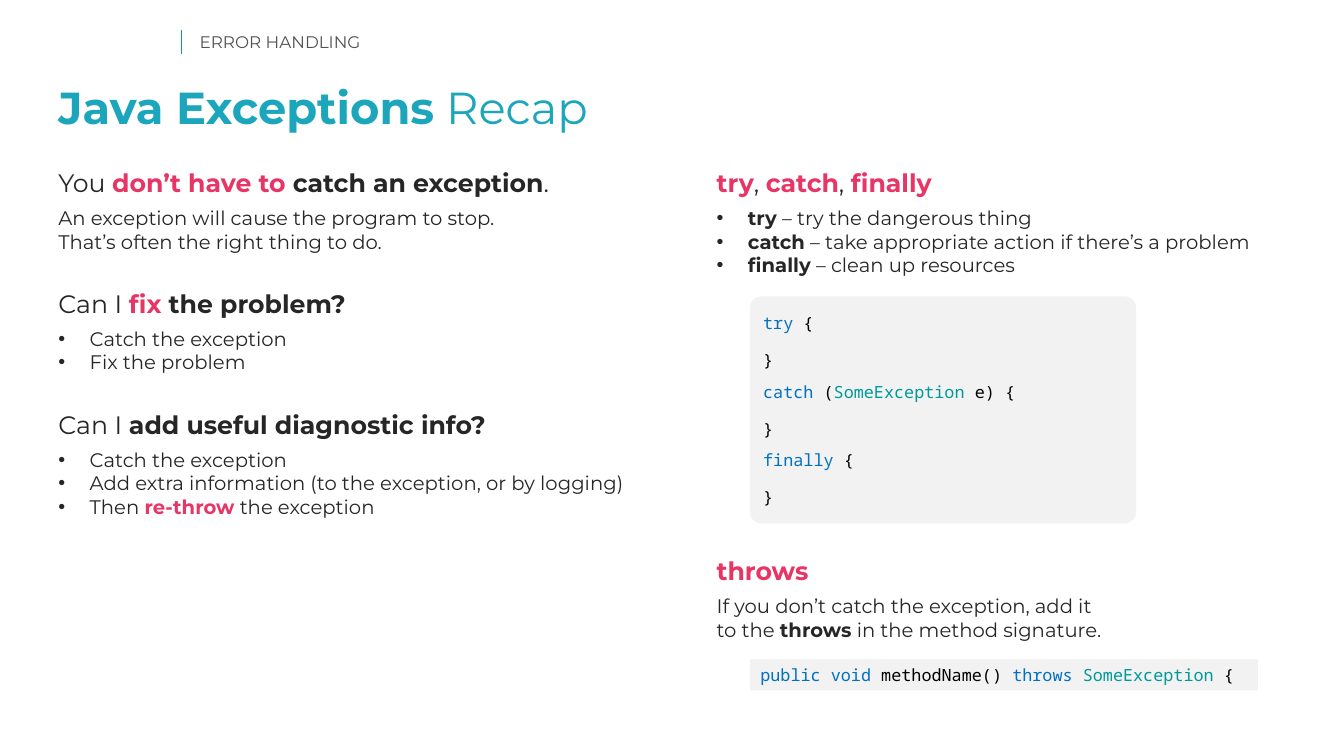
from lxml import etree
from pptx import Presentation
from pptx import util as u
from pptx.dml.color import RGBColor
from pptx.enum import shapes, text
from pptx.oxml.ns import qn

TEAL = RGBColor(0x13, 0x96, 0xAE)
AQUA = RGBColor(0x1B, 0xA6, 0xBC)
PINK = RGBColor(0xE7, 0x35, 0x65)
DARK = RGBColor(0x26, 0x26, 0x26)
GREY = RGBColor(0x53, 0x53, 0x53)
PALE = RGBColor(0xF2, 0xF2, 0xF2)
BLACK = RGBColor(0, 0, 0)
BLUE = RGBColor(0x00, 0x70, 0xC0)
GREEN = RGBColor(0x00, 0x99, 0x99)

SANS, MONO = "Montserrat", "Noto Sans Mono"
LEFT, RIGHT = 1.47, 18.06
CODE = 18.9
WIDE = 15.6
HEAD = {"size": 18, "after": 6}
BODY = {"size": 14, "after": 6}
ITEM = {"size": 14, "bullet": True}


def set_all(target, values):
    """Set each named attribute on the target."""
    for name, value in values.items():
        setattr(target, name, value)


def add_bullet(para):
    """Give a paragraph a hanging round bullet."""
    props = para._p.get_or_add_pPr()
    indent = u.Cm(0.79)
    props.set("marL", str(indent))
    props.set("indent", str(-indent))
    etree.SubElement(props, qn("a:buFont")).set("typeface", "Arial")
    etree.SubElement(props, qn("a:buChar")).set("char", "•")


def fill_para(para, runs, font=SANS, size=14, before=0, after=0,
              lines=1.0, bullet=False):
    """Write runs of (words, colour, bold) into a paragraph."""
    set_all(para, {"alignment": text.PP_ALIGN.LEFT, "line_spacing": lines,
                   "space_before": u.Pt(before), "space_after": u.Pt(after)})
    if bullet:
        add_bullet(para)
    for words, color, bold in runs:
        for index, part in enumerate(words.split("\n")):
            if index:
                para.add_line_break()
            run = para.add_run()
            run.text = part
            set_all(run.font, {"name": font, "size": u.Pt(size), "bold": bold})
            run.font.color.rgb = color


def fill_frame(frame, paras):
    """Write (format, runs) pairs as the paragraphs of a frame."""
    for index, (style, runs) in enumerate(paras):
        para = frame.add_paragraph() if index else frame.paragraphs[0]
        fill_para(para, runs, **style)


def add_text(slide, left, top, width, height, paras):
    """Add a text box without margins."""
    box = slide.shapes.add_textbox(*map(u.Cm, (left, top, width, height)))
    frame = box.text_frame
    set_all(frame, {"word_wrap": True, "margin_left": 0, "margin_top": 0,
                    "margin_right": 0, "margin_bottom": 0})
    fill_frame(frame, paras)


def add_code(slide, top, width, height, rows):
    """Add a pale rounded panel with rows of (space before, runs)."""
    panel = slide.shapes.add_shape(
        shapes.MSO_SHAPE.ROUNDED_RECTANGLE,
        *map(u.Cm, (CODE, top, width, height)))
    panel.adjustments[0] = 0.05
    panel.shadow.inherit = False
    panel.fill.solid()
    panel.fill.fore_color.rgb = PALE
    panel.line.fill.background()
    set_all(panel.text_frame, {"word_wrap": True,
                               "vertical_anchor": text.MSO_ANCHOR.MIDDLE})
    fill_frame(panel.text_frame, [
        ({"font": MONO, "size": 12, "before": gap},
         [(words, color, False) for words, color in runs])
        for gap, runs in rows])


def add_rule(slide, left, top, end):
    """Add a thin upright line."""
    rule = slide.shapes.add_connector(
        shapes.MSO_CONNECTOR.STRAIGHT, *map(u.Cm, (left, top, left, end)))
    rule.line.color.rgb = TEAL
    rule.line.width = u.Pt(1)
    etree.SubElement(rule._element.spPr, qn("a:effectLst"))


def plain(words):
    """Return a regular dark run."""
    return words, DARK, False


def strong(words, color=DARK):
    """Return a bold run."""
    return words, color, True


def add_top(slide):
    """Add the section label and the title."""
    add_rule(slide, 4.57, 0.76, 1.35)
    add_text(slide, 5.03, 0.86, 23.8, 0.48, [
        ({"size": 12, "lines": 0.9}, [("ERROR HANDLING", GREY, False)])])
    add_text(slide, LEFT, 2.16, 30.78, 1.22, [
        ({"size": 32, "lines": 0.9},
         [strong("Java Exceptions", AQUA), (" Recap", AQUA, False)])])


def add_left(slide):
    """Add the advice on when to catch."""
    add_text(slide, LEFT, 4.22, WIDE, 2.18, [
        (HEAD, [plain("You "), strong("don’t have to ", PINK),
                strong("catch an exception"), plain(".")]),
        (BODY, [plain("An exception will cause the program to stop.\n"
                      "That’s often the right thing to do.")])])
    add_text(slide, LEFT, 7.26, 8.33, 2.18, [
        (HEAD, [plain("Can I "), strong("fix", PINK),
                strong(" the problem?")]),
        (ITEM, [plain("Catch the exception")]),
        (ITEM, [plain("Fix the problem")])])
    add_text(slide, LEFT, 10.31, WIDE, 2.77, [
        (HEAD, [plain("Can I "), strong("add useful diagnostic info?")]),
        (ITEM, [plain("Catch the exception")]),
        (ITEM, [plain("Add extra information "
                      "(to the exception, or by logging)")]),
        (ITEM, [plain("Then "), strong("re-throw", PINK),
                plain(" the exception")])])


def add_right(slide):
    """Add the keywords with their code samples."""
    uses = {"try": "try the dangerous thing",
            "catch": "take appropriate action if there’s a problem",
            "finally": "clean up resources"}
    heads = []
    for word in uses:
        if heads:
            heads.append(plain(", "))
        heads.append(strong(word, PINK))
    add_text(slide, RIGHT, 4.22, WIDE, 2.77, [(HEAD, heads)] + [
        (ITEM, [strong(word), plain(f" – {use}")])
        for word, use in uses.items()])

    rows = []
    for word in uses:
        runs = [(word, BLUE), (" {", BLACK)]
        if word == "catch":
            runs[1:] = [(" (", BLACK), ("SomeException", GREEN),
                        (" e) {", BLACK)]
        rows += [(8 if rows else 0, runs), (12.2, [("}", BLACK)])]
    add_code(slide, 7.47, 9.73, 5.72, rows)

    add_text(slide, RIGHT, 14, 9.96, 2.18, [
        (HEAD, [strong("throws", PINK)]),
        (BODY, [plain("If you don’t catch the exception, add it to the "),
                strong("throws"), plain(" in the method signature.")])])
    add_code(slide, 16.61, 12.8, 0.79, [
        (0, [("public void ", BLUE), ("methodName() ", BLACK),
             ("throws ", BLUE), ("SomeException", GREEN), (" {", BLACK)])])


def main():
    """Build and save the slide."""
    deck = Presentation()
    set_all(deck, {"slide_width": u.Cm(33.87), "slide_height": u.Cm(19.05)})
    slide = deck.slides.add_slide(deck.slide_layouts[6])
    add_top(slide)
    add_left(slide)
    add_right(slide)
    deck.save("out.pptx")


main()
